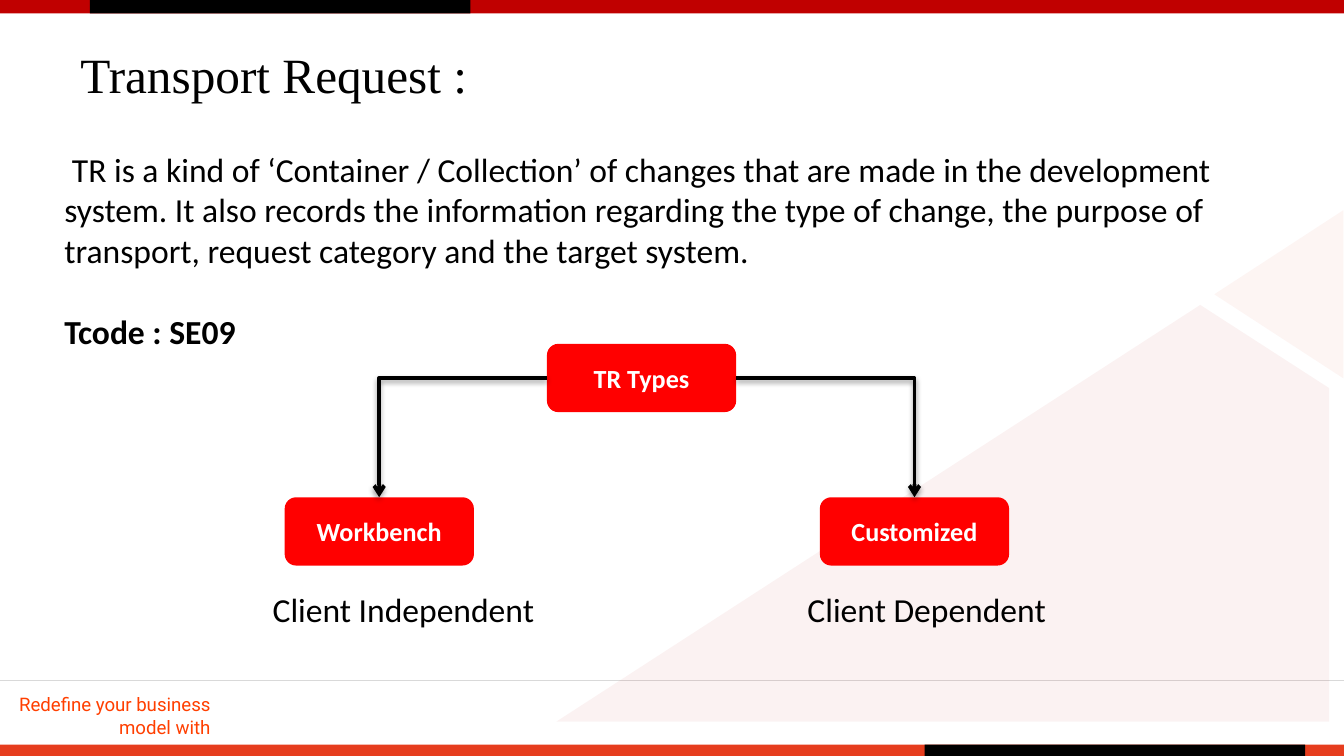
from dataclasses import dataclass

from lxml import etree
from pptx import Presentation
from pptx.dml.color import RGBColor
from pptx.enum.shapes import MSO_CONNECTOR, MSO_SHAPE
from pptx.enum.text import MSO_ANCHOR, PP_ALIGN
from pptx.oxml.ns import qn
from pptx.util import Pt

RECTANGLE = MSO_SHAPE.RECTANGLE
ROUNDED = MSO_SHAPE.ROUNDED_RECTANGLE
TRIANGLE = MSO_SHAPE.ISOSCELES_TRIANGLE
STRAIGHT = MSO_CONNECTOR.STRAIGHT
ELBOW = MSO_CONNECTOR.ELBOW
LEFT, CENTER, RIGHT = PP_ALIGN.LEFT, PP_ALIGN.CENTER, PP_ALIGN.RIGHT
MIDDLE = MSO_ANCHOR.MIDDLE
TOP_SIDE, LEFT_SIDE, RIGHT_SIDE = 0, 1, 3

SLIDE_WIDTH, SLIDE_HEIGHT = 720, 405
BOX_WIDTH, BOX_HEIGHT = 101.4, 36.6
CHILD_TOP = 266.4
RED, ORANGE, BLACK = "C00000", "E63D1E", "000000"


@dataclass(frozen=True)
class Area:
    left: float
    top: float
    width: float
    height: float

    def lengths(self) -> tuple:
        return Pt(self.left), Pt(self.top), Pt(self.width), Pt(self.height)


@dataclass(frozen=True)
class Style:
    size: float
    font: str = "Calibri"
    color: str = BLACK
    bold: bool = False
    align: PP_ALIGN = LEFT
    space_before: float = 0


@dataclass(frozen=True)
class Branch:
    name: str
    left: float
    side: int
    caption: str
    caption_area: Area


BANDS = [
    (Area(0, 0, SLIDE_WIDTH, 7.2), RED),
    (Area(48.2, 0, 203.8, 7.2), BLACK),
    (Area(0, 399, SLIDE_WIDTH, 6), ORANGE),
    (Area(495.4, 399, 203.8, 6), BLACK),
]
BRANCHES = [
    Branch("Workbench", 152.5, LEFT_SIDE, "Client Independent", Area(139, 311.8, 162.7, 28.8)),
    Branch("Customized", 439.2, RIGHT_SIDE, "Client Dependent", Area(425.5, 311.8, 146.2, 28.8)),
]
HILL = [(712.1, 386.6), (712.1, 208), (643, 163.4), (298.1, 386.6)]
DEFINITION = (
    " TR is a kind of ‘Container / Collection’ of changes that are made in the development "
    "system. It also records the information regarding the type of change, the purpose of "
    "transport, request category and the target system."
)


def paint(color_format, color: str) -> None:
    color_format.rgb = RGBColor.from_string(color)


def fill_shape(shape, color: str, opacity: int = 100) -> None:
    shape.shadow.inherit = False
    shape.line.fill.background()
    shape.fill.solid()
    paint(shape.fill.fore_color, color)
    if opacity < 100:
        color_element = shape.fill._xPr.find(qn("a:solidFill"))[0]
        etree.SubElement(color_element, qn("a:alpha"), val=str(opacity * 1000))


def add_filled(slide, kind: MSO_SHAPE, area: Area, color: str, opacity: int = 100):
    shape = slide.shapes.add_shape(kind, *area.lengths())
    fill_shape(shape, color, opacity)
    return shape


def write(frame, lines: list[tuple[str, Style]]) -> None:
    frame.word_wrap = True
    for index, (text, style) in enumerate(lines):
        paragraph = frame.add_paragraph() if index else frame.paragraphs[0]
        paragraph.alignment = style.align
        paragraph.space_before = Pt(style.space_before)
        run = paragraph.add_run()
        run.text = text
        run.font.name = style.font
        run.font.size = Pt(style.size)
        run.font.bold = style.bold
        paint(run.font.color, style.color)


def add_text(slide, area: Area, lines: list[tuple[str, Style]]):
    frame = slide.shapes.add_textbox(*area.lengths()).text_frame
    write(frame, lines)
    return frame


def add_box(slide, text: str, left: float, top: float):
    shape = add_filled(slide, ROUNDED, Area(left, top, BOX_WIDTH, BOX_HEIGHT), "FF0000")
    shape.text_frame.vertical_anchor = MIDDLE
    write(shape.text_frame, [(text, Style(14, color="FFFFFF", bold=True, align=CENTER))])
    return shape


def add_line(slide, kind: MSO_CONNECTOR, color: str, width: float, ends: tuple = (0, 0, 0, 0)):
    connector = slide.shapes.add_connector(kind, *(Pt(value) for value in ends))
    connector.line.width = Pt(width)
    paint(connector.line.color, color)
    effects = etree.SubElement(connector._element.spPr, qn("a:effectLst"))
    return connector, effects


def add_elbow_arrow(slide, parent, child, side: int) -> None:
    connector, effects = add_line(slide, ELBOW, BLACK, 2)
    connector.begin_connect(parent, side)
    connector.end_connect(child, TOP_SIDE)
    properties = connector._element.spPr
    properties.find(qn("a:prstGeom")).set("prst", "bentConnector2")
    etree.SubElement(properties.find(qn("a:ln")), qn("a:tailEnd"), type="arrow")
    shadow = etree.SubElement(
        effects, qn("a:outerShdw"), blurRad=str(Pt(3.1)), dist=str(Pt(1.6)), dir="5400000", rotWithShape="0"
    )
    shadow_color = etree.SubElement(shadow, qn("a:srgbClr"), val=BLACK)
    etree.SubElement(shadow_color, qn("a:alpha"), val="38000")


def add_background(slide) -> None:
    for area, color in BANDS:
        add_filled(slide, RECTANGLE, area, color)
    add_line(slide, STRAIGHT, "D9D9D9", 0.75, (0, 364.5, SLIDE_WIDTH, 364.5))
    points = [(Pt(x), Pt(y)) for x, y in HILL]
    builder = slide.shapes.build_freeform(*points[0])
    builder.add_line_segments(points[1:], close=True)
    fill_shape(builder.convert_to_shape(), RED, 5)
    triangle = add_filled(slide, TRIANGLE, Area(640.1, 123.1, 90, 69.1), ORANGE, 5)
    triangle.rotation = 270
    footer = Style(10, "Roboto", "FF3F00", align=RIGHT)
    lines = [("Redefine your business", footer), ("model with", footer)]
    frame = add_text(slide, Area(0, 367.9, 122.4, 31.7), lines)
    frame.margin_right = Pt(9.7)


def add_content(slide) -> None:
    title = Style(26.4, "Times New Roman")
    frame = add_text(slide, Area(36, 16.6, 648, 50.4), [("Transport Request :", title)])
    frame.margin_top = Pt(7)
    body = [(DEFINITION, Style(18)), ("Tcode : SE09", Style(18, bold=True, space_before=22))]
    add_text(slide, Area(27.4, 76.3, 679.7, 159.8), body)

    parent = add_box(slide, "TR Types", 293, 184.2)
    for branch in BRANCHES:
        child = add_box(slide, branch.name, branch.left, CHILD_TOP)
        add_elbow_arrow(slide, parent, child, branch.side)
        add_text(slide, branch.caption_area, [(branch.caption, Style(18))])


def main() -> None:
    presentation = Presentation()
    presentation.slide_width = Pt(SLIDE_WIDTH)
    presentation.slide_height = Pt(SLIDE_HEIGHT)
    slide = presentation.slides.add_slide(presentation.slide_layouts[6])
    add_background(slide)
    add_content(slide)
    presentation.save("out.pptx")


if __name__ == "__main__":
    main()
